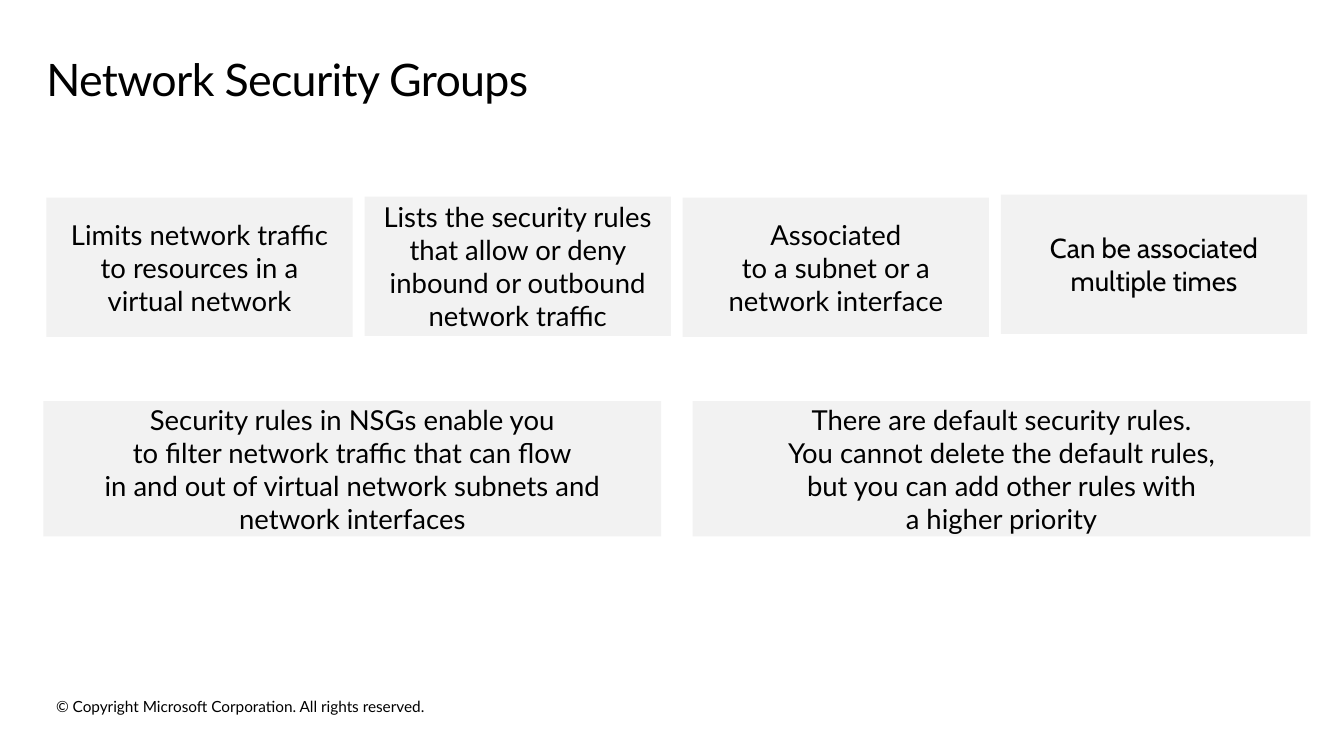
from pptx import Presentation
from pptx.dml.color import RGBColor
from pptx.enum.shapes import MSO_SHAPE as Shape
from pptx.enum.text import MSO_ANCHOR as Anchor, PP_ALIGN as Align
from pptx.util import Pt

COLORS = {"text": "000000", "card": "F2F2F2"}


def write(frame, text, size, font="Lato"):
    frame.word_wrap = True
    para = frame.paragraphs[0]
    for i, line in enumerate(text.split("\n")):
        if i:
            para.add_line_break()
        run = para.add_run()
        run.text = line
        run.font.size = Pt(size)
        run.font.name = font
        run.font.color.rgb = RGBColor.from_string(COLORS["text"])
    return para


def add_card(left, top, width, height, text, font="Lato"):
    card = slide.shapes.add_shape(
        Shape.RECTANGLE, Pt(left), Pt(top), Pt(width), Pt(height))
    card.shadow.inherit = False
    card.fill.solid()
    card.fill.fore_color.rgb = RGBColor.from_string(COLORS["card"])
    card.line.fill.background()
    frame = card.text_frame
    frame.vertical_anchor = Anchor.MIDDLE
    frame.margin_left = frame.margin_right = Pt(10.8)
    frame.margin_top = frame.margin_bottom = Pt(7.2)
    write(frame, text, 20, font).alignment = Align.CENTER


deck = Presentation()
deck.slide_width, deck.slide_height = Pt(979.2), Pt(550.8)
slide = deck.slides.add_slide(deck.slide_layouts[5])

note = slide.shapes.add_textbox(Pt(33.8), Pt(504.7), Pt(489.6), Pt(21.6))
write(note.text_frame,
      "© Copyright Microsoft Corporation. All rights reserved.", 11.2)

title = slide.shapes.title
title.left, title.top = Pt(33.8), Pt(35.3)
title.width, title.height = Pt(910.8), Pt(54.7)
frame = title.text_frame
frame.vertical_anchor = Anchor.TOP
frame.margin_left, frame.margin_right = 0, Pt(11.5)
frame.margin_top = frame.margin_bottom = Pt(7.2)
para = write(frame, "Network Security Groups", 32.6)
para.alignment = Align.LEFT
para.line_spacing = 0.9
para.runs[0].font._element.set("spc", "-50")

facts = [
    (144, "Limits network traffic\nto resources in a\nvirtual network", "Lato"),
    (143.3, "Lists the security rules that allow or deny "
     "inbound or outbound network traffic", "Lato"),
    (144, "Associated\nto a subnet or a\nnetwork interface", "Lato"),
    (141.8, "Can be associated multiple times", "Cabin"),
]
for i, (top, text, font) in enumerate(facts):
    add_card(33.8 + i * 231.8, top, 223.2, 101.5, text, font)

rules = [
    "Security rules in NSGs enable you\n"
    "to filter network traffic that can flow\n"
    "in and out of virtual network subnets and network interfaces",
    "There are default security rules.\n"
    "You cannot delete the default rules,\n"
    "but you can add other rules with\na higher priority",
]
for i, text in enumerate(rules):
    add_card(31.7 + i * 473, 292.3, 450, 98.6, text)

deck.save("out.pptx")
